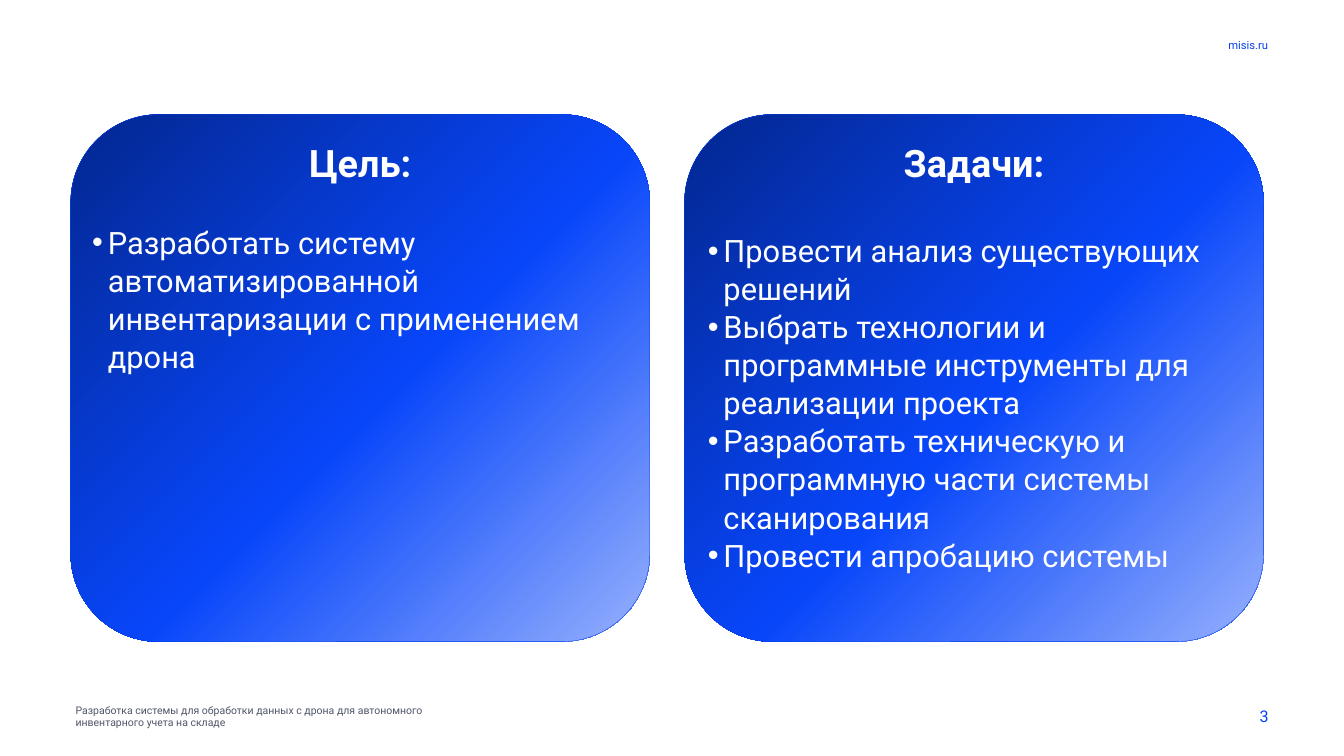
from lxml import etree
from pptx import Presentation
from pptx import util as u
from pptx.dml.color import RGBColor
from pptx.enum import shapes, text
from pptx.oxml import parse_xml
from pptx.oxml.ns import qn

FONT, BLUE, WHITE, GREY = "Roboto", "0541F0", "FFFFFF", "505569"
GRADIENT = [(0, "97B1FD"), (46, "0846FA"), (100, "032790")]

CARDS = [
    dict(heading="Цель:", gap=53, inset=0.83, height=22.56, points=[
        "Разработать систему автоматизированной инвентаризации с применением дрона",
    ]),
    dict(heading="Задачи:", gap=65, inset=0.92, height=24.84, points=[
        "Провести анализ существующих решений",
        "Выбрать технологии и программные инструменты для реализации проекта",
        "Разработать техническую и программную части системы сканирования",
        "Провести апробацию системы",
    ]),
]
LEFT, RIGHT = text.PP_ALIGN.LEFT, text.PP_ALIGN.RIGHT
TOP, MIDDLE = text.MSO_ANCHOR.TOP, text.MSO_ANCHOR.MIDDLE
LABELS = [
    ("misis.ru", (55.04, 1.83, 9.1, 0.94), 16, BLUE, RIGHT, TOP),
    ("3", (55.04, 35.08, 9.14, 2.03), 23, BLUE, RIGHT, MIDDLE),
    ("Разработка системы для обработки данных с дрона для автономного "
     "инвентарного учета на складе", (3.56, 35.08, 19.3, 2.03), 15, GREY, LEFT, MIDDLE),
]
CARD_LEFT, CARD_TOP, CARD_WIDTH, CARD_HEIGHT, CARD_GAP = 3.56, 5.77, 29.18, 26.57, 1.75
BODY_TOP, BULLET_INDENT = 6.86, 0.79


def style(paragraph, size, colour, bold=False, align=LEFT):
    paragraph.alignment = align
    font = paragraph.font
    font.name, font.size, font.bold = FONT, u.Pt(size), bold
    font.color.rgb = RGBColor.from_string(colour)


def set_bullet(paragraph, char=None):
    indent = u.Cm(BULLET_INDENT) if char else 0
    properties = paragraph._p.get_or_add_pPr()
    properties.set("marL", str(indent))
    properties.set("indent", str(-indent))
    if char:
        etree.SubElement(properties, qn("a:buFont")).set("typeface", "Arial")
        etree.SubElement(properties, qn("a:buChar")).set("char", char)
    else:
        etree.SubElement(properties, qn("a:buNone"))


def fill_radial(shape, stops):
    marks = "".join(f'<a:gs pos="{pos * 1000}"><a:srgbClr val="{colour}"/></a:gs>'
                    for pos, colour in stops)
    gradient = parse_xml(
        '<a:gradFill xmlns:a="http://schemas.openxmlformats.org/drawingml/2006/main" '
        f'rotWithShape="1"><a:gsLst>{marks}</a:gsLst><a:path path="circle">'
        '<a:fillToRect l="100000" t="100000"/></a:path>'
        '<a:tileRect r="-100000" b="-100000"/></a:gradFill>')
    shape._element.spPr.find(qn("a:prstGeom")).addnext(gradient)


def add_card(slide, left):
    card = slide.shapes.add_shape(
        shapes.MSO_SHAPE.ROUNDED_RECTANGLE,
        *map(u.Cm, (left, CARD_TOP, CARD_WIDTH, CARD_HEIGHT)))
    fill_radial(card, GRADIENT)
    card.line.color.rgb = RGBColor.from_string(BLUE)
    card.line.width = u.Pt(0.5)
    card.shadow.inherit = False


def fill_body(body, card, left):
    inset = card["inset"]
    body.left, body.top, body.width, body.height = map(
        u.Cm, (left + inset, BODY_TOP, CARD_WIDTH - 2 * inset, card["height"]))
    frame = body.text_frame
    frame.auto_size, frame.word_wrap = text.MSO_AUTO_SIZE.NONE, True
    frame.vertical_anchor = TOP
    frame.text = "\n".join([card["heading"], *card["points"]])
    heading, *points = frame.paragraphs
    for paragraph in frame.paragraphs:
        paragraph.line_spacing = 1.03
        paragraph.space_before = paragraph.space_after = u.Pt(0)
    heading.space_after = u.Pt(card["gap"])
    set_bullet(heading)
    style(heading, 54, WHITE, True, text.PP_ALIGN.CENTER)
    for point in points:
        set_bullet(point, "•")
        style(point, 44, WHITE)


def add_label(slide, words, box, size, colour, align, anchor):
    frame = slide.shapes.add_textbox(*map(u.Cm, box)).text_frame
    frame.word_wrap, frame.vertical_anchor = True, anchor
    frame.text = words
    style(frame.paragraphs[0], size, colour, align=align)


def main():
    """Build the slide with the project goal and tasks."""
    deck = Presentation()
    deck.slide_width, deck.slide_height = u.Cm(67.72), u.Cm(38.1)
    slide = deck.slides.add_slide(deck.slide_layouts[3])
    title, *bodies = slide.placeholders
    title._element.getparent().remove(title._element)
    for column, (body, card) in enumerate(zip(bodies, CARDS)):
        left = CARD_LEFT + column * (CARD_WIDTH + CARD_GAP)
        add_card(slide, left)
        fill_body(body, card, left)
        slide.shapes._spTree.append(body._element)
    for label in LABELS:
        add_label(slide, *label)
    deck.save("out.pptx")


if __name__ == "__main__":
    main()
